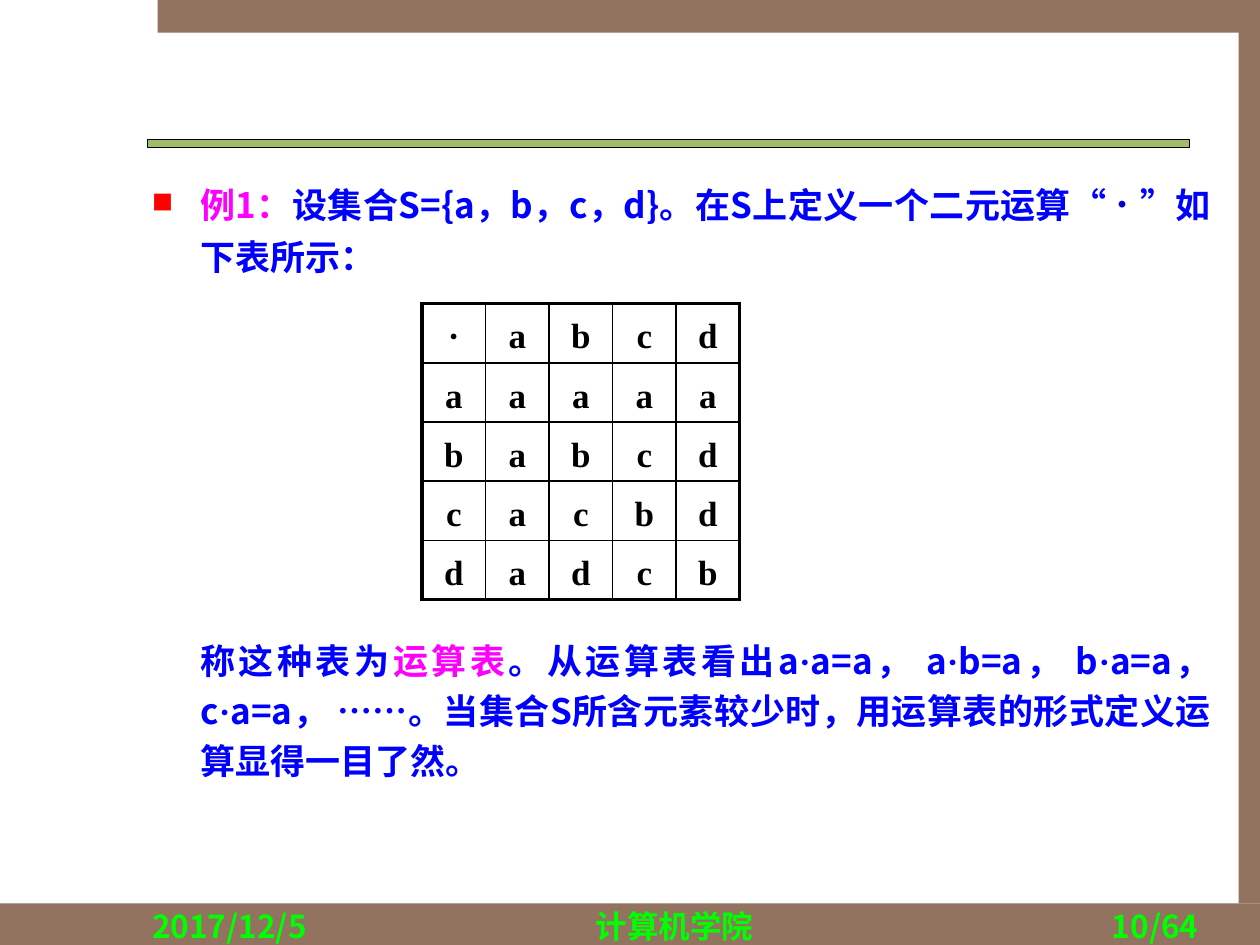
from pptx import Presentation
from pptx.dml.color import RGBColor
from pptx.enum.shapes import MSO_SHAPE
from pptx.enum.text import MSO_ANCHOR, MSO_AUTO_SIZE, PP_ALIGN
from pptx.oxml import parse_xml
from pptx.oxml.ns import nsdecls
from pptx.util import Inches, Pt

SANS = "Noto Sans CJK SC"
SERIF = "Times New Roman"
BLUE = "0000FF"
PINK = "FF00FF"


def color(code):
    return RGBColor.from_string(code)


def write(para, text, size=20, font=SANS, ink=BLUE, align=None, space=None):
    run = para.add_run()
    run.text = text
    run.font.size = Pt(size)
    run.font.bold = True
    run.font.name = font
    run.font.color.rgb = color(ink)
    props = run._r.get_or_add_rPr()
    props.append(parse_xml(f'<a:ea {nsdecls("a")} typeface="{SANS}"/>'))
    if align is not None:
        para.alignment = align
    if space is not None:
        para.line_spacing = space


deck = Presentation()
deck.slide_width = Inches(10)
deck.slide_height = Inches(7.5)
slide = deck.slides.add_slide(deck.slide_layouts[1])
title = slide.shapes.title
title._element.getparent().remove(title._element)

bars = [
    (0, 7.17, 10, 0.33, "91735F"),
    (1.25, 0, 8.75, 0.26, "91735F"),
    (9.83, 0.25, 0.17, 6.92, "91735F"),
    (1.17, 1.11, 8.27, 0.06, "A1BD69"),
]
for left, top, width, height, fill in bars:
    bar = slide.shapes.add_shape(
        MSO_SHAPE.RECTANGLE, Inches(left), Inches(top), Inches(width), Inches(height))
    bar.shadow.inherit = False
    bar.fill.solid()
    bar.fill.fore_color.rgb = color(fill)
    bar.line.fill.background()
bar.line.color.rgb = color("000000")
bar.line.width = Pt(0.75)

notes = [
    (1.11, 2.08, "2017/12/5", PP_ALIGN.LEFT),
    (3.19, 4.33, "计算机学院", PP_ALIGN.CENTER),
    (7.53, 2.08, "10/64", PP_ALIGN.RIGHT),
]
for left, width, text, align in notes:
    box = slide.shapes.add_textbox(Inches(left), Inches(7.2), Inches(width), Inches(0.18))
    frame = box.text_frame
    frame.word_wrap = True
    frame.margin_top = frame.margin_bottom = 0
    write(frame.paragraphs[0], text, size=18, ink="00FF00", align=align)

body = slide.placeholders[1]
body.left, body.top = Inches(1.17), Inches(1.28)
body.width, body.height = Inches(8.48), Inches(4.95)
frame = body.text_frame
frame.word_wrap = True
frame.auto_size = MSO_AUTO_SIZE.NONE
frame.vertical_anchor = MSO_ANCHOR.TOP
frame.margin_left = frame.margin_right = Inches(0.04)
frame.margin_top = frame.margin_bottom = Inches(0.04)

intro = frame.paragraphs[0]
outro = frame.add_paragraph()
for para, gap, hang in [(intro, 0, -0.38), (outro, 202, 0)]:
    para.alignment = PP_ALIGN.JUSTIFY
    para.space_before = Pt(gap)
    para.space_after = Pt(0)
    para.line_spacing = 1.2
    props = para._p.get_or_add_pPr()
    props.set("marL", str(Inches(0.38)))
    props.set("indent", str(Inches(hang)))

marks = [
    '<a:buClr {}><a:srgbClr val="FF0000"/></a:buClr>',
    '<a:buSzPct {} val="60000"/>',
    '<a:buFont {} typeface="Noto Sans CJK SC"/>',
    '<a:buChar {} char="■"/>',
]
for mark in marks:
    intro._p.pPr.append(parse_xml(mark.format(nsdecls("a"))))
outro._p.pPr.append(parse_xml(f'<a:buNone {nsdecls("a")}/>'))

write(intro, "例1：", ink=PINK)
write(intro, "设集合S={a，b，c，d}。在S上定义一个二元运算")
write(intro, "“ ", font=SERIF)
write(intro, "· ", size=24, font=SERIF, ink="0000CC")
write(intro, "”", font=SERIF)
write(intro, "如下表所示：")

write(outro, "称这种表为")
write(outro, "运算表", ink=PINK)
terms = ["。从运算表看出a", "a=a， a", "b=a， b", "a=a， c", "a=a， "]
for spot, term in enumerate(terms):
    if spot:
        write(outro, "·", font=SERIF)
    write(outro, term)
write(outro, "……", font=SERIF)
write(outro, "。当集合S所含元素较少时，用运算表的形式定义运算显得一目了然。")

rows = ["·abcd", "aaaaa", "babcd", "cacbd", "dadcb"]
count = len(rows)
grid = slide.shapes.add_table(
    count, count, Inches(3.35), Inches(2.41), Inches(2.52), Inches(2.35)).table
grid.first_row = grid.horz_banding = False
for row in grid.rows:
    row.height = Inches(0.47)
for y, letters in enumerate(rows):
    for x, letter in enumerate(letters):
        cell = grid.cell(y, x)
        cell.margin_top = cell.margin_bottom = Inches(0.03)
        cell.vertical_anchor = MSO_ANCHOR.MIDDLE
        write(cell.text_frame.paragraphs[0], letter, font=SERIF, ink="000000",
              align=PP_ALIGN.CENTER, space=1.2)
        props = cell._tc.get_or_add_tcPr()
        edges = {"L": x == 0, "R": x == count - 1, "T": y == 0, "B": y == count - 1}
        for side, outer in edges.items():
            width = Pt(2.25 if outer else 1)
            props.append(parse_xml(
                f'<a:ln{side} {nsdecls("a")} w="{width}"><a:solidFill>'
                f'<a:srgbClr val="000000"/></a:solidFill></a:ln{side}>'))
        cell.fill.background()

deck.save("out.pptx")
